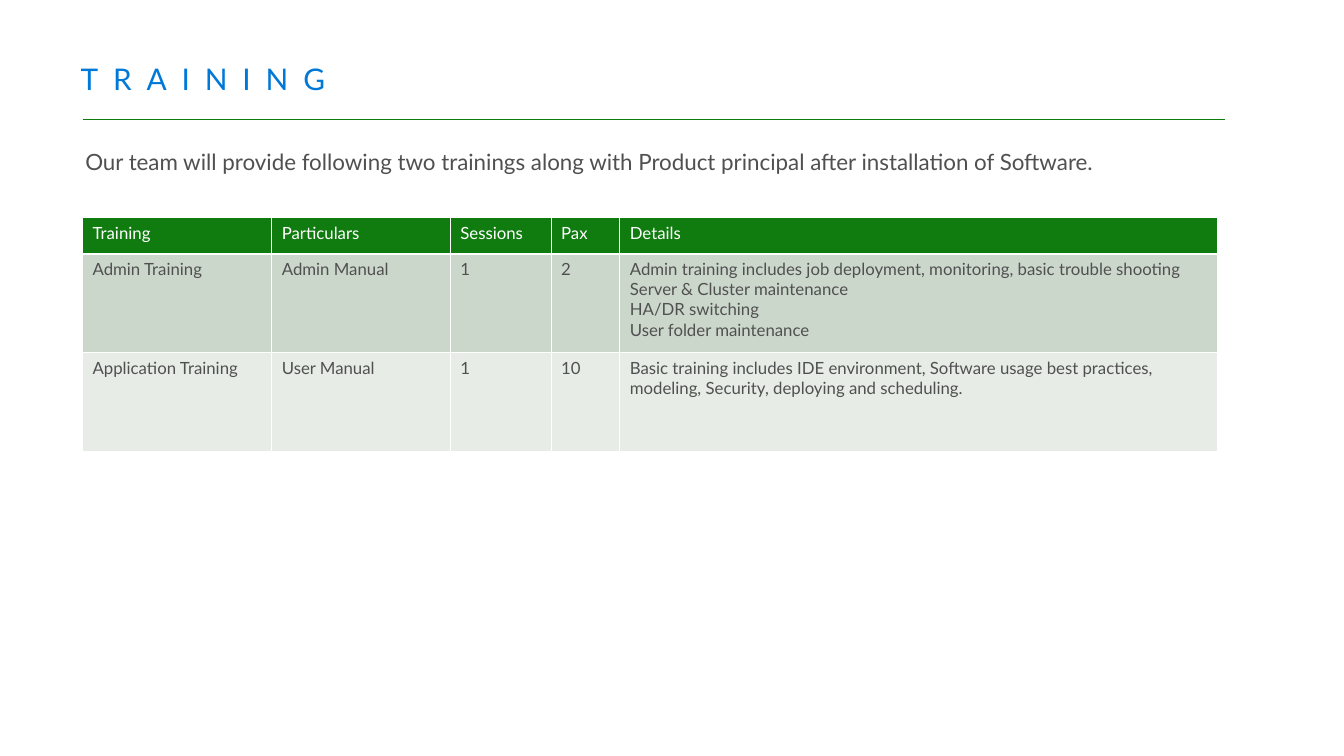
from dataclasses import dataclass

from lxml import etree
from pptx import Presentation
from pptx import util as u
from pptx.dml.color import RGBColor
from pptx.enum import shapes, text
from pptx.oxml.ns import qn

TITLE = "TRAINING"
INTRO = ("Our team will provide following two trainings along with Product "
         "principal after installation of Software.")
HEADER = ("Training", "Particulars", "Sessions", "Pax", "Details")
TRAININGS = [
    ("Admin Training", "Admin Manual", "1", "2",
     "Admin training includes job deployment, monitoring, basic trouble shooting\n"
     "Server & Cluster maintenance\n"
     "HA/DR switching\n"
     "User folder maintenance"),
    ("Application Training", "User Manual", "1", "10",
     "Basic training includes IDE environment, Software usage best practices, "
     "modeling, Security, deploying and scheduling."),
]
COLUMN_WIDTHS = (4.77, 4.5, 2.54, 1.73, 15.06)
HEADER_HEIGHT, TRAINING_HEIGHT = 0.91, 2.49
LEFT, RULE_RIGHT = 2.08, 30.86


@dataclass(frozen=True)
class Theme:
    font: str = "Lato"
    title: RGBColor = RGBColor(0x00, 0x78, 0xD7)
    body: RGBColor = RGBColor(0x50, 0x50, 0x50)
    rule: RGBColor = RGBColor(0x0D, 0x7C, 0x0D)
    header_fill: RGBColor = RGBColor(0x10, 0x7C, 0x10)
    header_text: RGBColor = RGBColor(0xFF, 0xFF, 0xFF)
    bands: tuple = (RGBColor(0xCC, 0xD7, 0xCC), RGBColor(0xE7, 0xEC, 0xE7))
    title_size: float = 21.3
    intro_size: float = 16
    table_size: float = 12
    title_tracking: int = 1070  # hundredths of a point


THEME = Theme()


def write(frame, content, size, color):
    frame.text = content
    for paragraph in frame.paragraphs:
        paragraph.font.name = THEME.font
        paragraph.font.size = u.Pt(size)
        paragraph.font.bold = False
        paragraph.font.color.rgb = color


def set_insets(frame, horizontal, vertical):
    frame.margin_left = frame.margin_right = u.Cm(horizontal)
    frame.margin_top = frame.margin_bottom = u.Cm(vertical)


def add_title(slide):
    title = slide.shapes.title
    title.left, title.top = u.Cm(1.7), u.Cm(1.37)
    title.width, title.height = u.Cm(7.04), u.Cm(1.24)
    frame = title.text_frame
    write(frame, TITLE, THEME.title_size, THEME.title)
    set_insets(frame, 0.33, 0.18)
    frame.word_wrap = False
    frame.auto_size = text.MSO_AUTO_SIZE.NONE
    frame.vertical_anchor = text.MSO_ANCHOR.MIDDLE
    paragraph = frame.paragraphs[0]
    paragraph.alignment = text.PP_ALIGN.LEFT
    paragraph.runs[0].font._element.set("spc", str(THEME.title_tracking))


def add_rule(slide):
    y = u.Cm(3.02)
    rule = slide.shapes.add_connector(
        shapes.MSO_CONNECTOR.STRAIGHT, u.Cm(LEFT), y, u.Cm(RULE_RIGHT), y)
    rule.line.color.rgb = THEME.rule
    rule.line.width = u.Pt(0.75)
    etree.SubElement(rule._element.spPr, qn("a:effectLst"))


def add_intro(slide):
    box = slide.shapes.add_textbox(u.Cm(1.9), u.Cm(3.48), u.Cm(28.78), u.Cm(1.4))
    frame = box.text_frame
    frame.word_wrap = True
    set_insets(frame, 0.25, 0.25)
    write(frame, INTRO, THEME.intro_size, THEME.body)


def add_training_table(slide):
    heights = [HEADER_HEIGHT] + [TRAINING_HEIGHT] * len(TRAININGS)
    table = slide.shapes.add_table(
        len(heights), len(HEADER), u.Cm(LEFT), u.Cm(5.49),
        u.Cm(sum(COLUMN_WIDTHS)), u.Cm(sum(heights))).table
    for column, width in zip(table.columns, COLUMN_WIDTHS):
        column.width = u.Cm(width)
    for row, height in zip(table.rows, heights):
        row.height = u.Cm(height)

    for row_index, entries in enumerate([HEADER, *TRAININGS]):
        if row_index == 0:
            fill, color = THEME.header_fill, THEME.header_text
        else:
            fill = THEME.bands[(row_index - 1) % len(THEME.bands)]
            color = THEME.body
        for cell, entry in zip(table.rows[row_index].cells, entries):
            cell.fill.solid()
            cell.fill.fore_color.rgb = fill
            write(cell.text_frame, entry, THEME.table_size, color)


def main():
    presentation = Presentation()
    presentation.slide_width = u.Cm(33.87)
    presentation.slide_height = u.Cm(19.05)
    title_only = presentation.slide_layouts.get_by_name("Title Only")
    slide = presentation.slides.add_slide(title_only)
    add_rule(slide)
    add_title(slide)
    add_training_table(slide)
    add_intro(slide)
    presentation.save("out.pptx")


if __name__ == "__main__":
    main()
